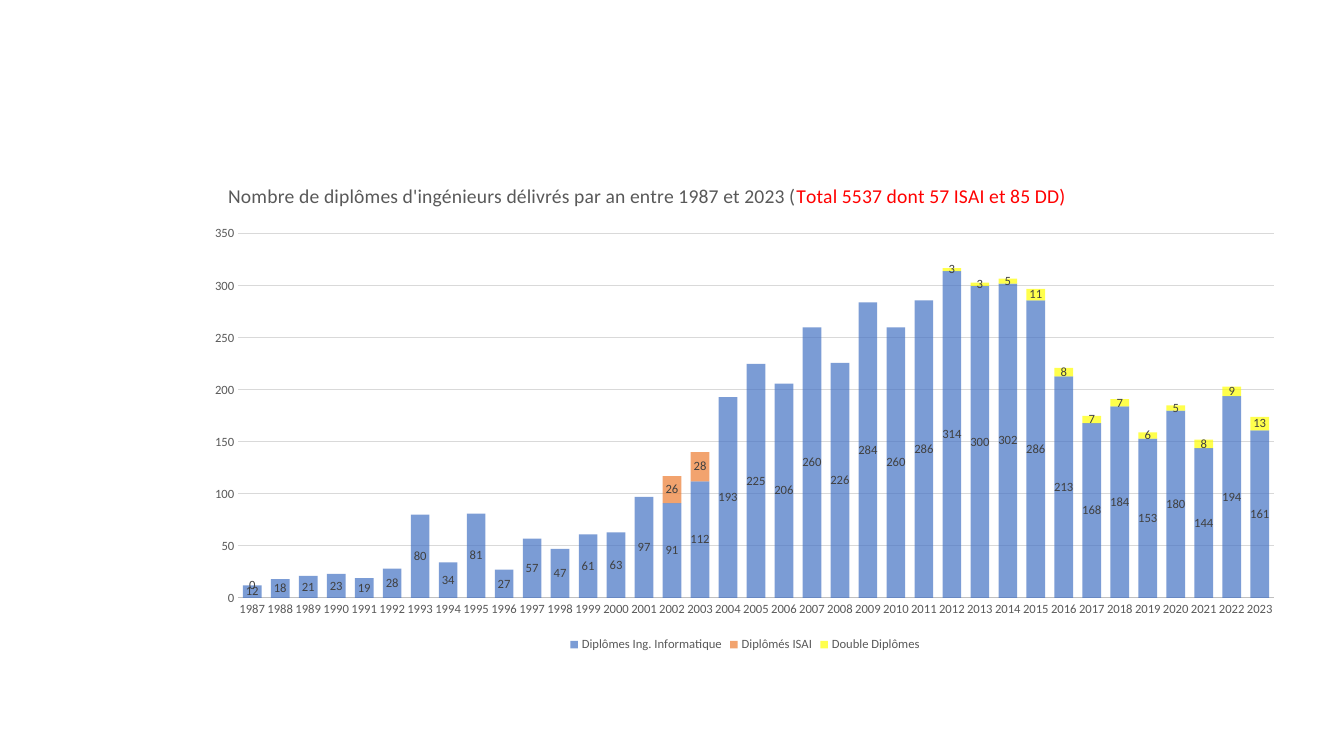
from lxml.etree import SubElement
from pptx import Presentation
from pptx.chart.data import CategoryChartData
from pptx.dml.color import RGBColor
from pptx.enum.chart import XL_CHART_TYPE as ChartType
from pptx.enum.chart import XL_LABEL_POSITION as LabelPos
from pptx.enum.chart import XL_LEGEND_POSITION as LegendPos
from pptx.enum.chart import XL_TICK_MARK as TickMark
from pptx.oxml import parse_xml
from pptx.oxml.ns import nsdecls, qn
from pptx.util import Pt

EMU_PER_PX = 914400 / 100.8
BLACK = RGBColor(0x00, 0x00, 0x00)
GREY = RGBColor(0x59, 0x59, 0x59)
DARK = RGBColor(0x40, 0x40, 0x40)
AXIS = RGBColor(0xBF, 0xBF, 0xBF)
GRID = RGBColor(0xD9, 0xD9, 0xD9)
RED = RGBColor(0xFF, 0x00, 0x00)
BLUE = RGBColor(0x44, 0x72, 0xC4)
ORANGE = RGBColor(0xED, 0x7D, 0x31)
YELLOW = RGBColor(0xFF, 0xFF, 0x00)
WHITE = RGBColor(0xFF, 0xFF, 0xFF)

YEARS = range(1987, 2024)
INFORMATIQUE = [
    12, 18, 21, 23, 19, 28, 80, 34, 81, 27, 57, 47, 61, 63, 97, 91, 112, 193, 225,
    206, 260, 226, 284, 260, 286, 314, 300, 302, 286, 213, 168, 184, 153, 180, 144,
    194, 161,
]
ISAI = {2002: 26, 2003: 28}
DOUBLE = {1987: 0, 1997: 0} | dict(
    zip(range(2012, 2024), [3, 3, 5, 11, 8, 7, 7, 6, 5, 8, 9, 13])
)
SERIES = [
    ("Diplômes Ing. Informatique", INFORMATIQUE, BLUE),
    ("Diplômés ISAI", [ISAI.get(y) for y in YEARS], ORANGE),
    ("Double Diplômes", [DOUBLE.get(y) for y in YEARS], YELLOW),
]
UNLABELLED_YEAR = 1997
TITLE = [
    ("Nombre de diplômes d'ingénieurs délivrés par an entre 1987 et 2023 (", GREY),
    ("Total 5537 dont 57 ISAI et 85 DD)", RED),
]


def px(n):
    return round(n * EMU_PER_PX)


def set_font(font, size, color):
    for name, value in {"name": "Calibri", "size": Pt(size), "bold": False}.items():
        setattr(font, name, value)
    font.color.rgb = color


def set_line(line, color):
    line.color.rgb = color
    line.width = Pt(0.75)


def place(part, values):
    layout = part.find(qn("c:layout"))
    if layout is None:
        layout = parse_xml(f"<c:layout {nsdecls('c')}/>")
        part.insert(0, layout)
    manual = SubElement(layout, qn("c:manualLayout"))
    for tag, value in values.items():
        SubElement(manual, qn(f"c:{tag}")).set("val", str(value))


def add_title(chart, w, h):
    p = chart.chart_title.text_frame.paragraphs[0]
    for text, color in TITLE:
        r = p.add_run()
        r.text = text
        set_font(r.font, 14, color)
    title = chart.chart_title._element
    place(title, {"xMode": "edge", "yMode": "edge",
                  "x": round(32 / w, 3), "y": round(11 / h, 3)})


def style_axes(chart):
    for axis in (chart.category_axis, chart.value_axis):
        axis.major_tick_mark = axis.minor_tick_mark = TickMark.NONE
        set_font(axis.tick_labels.font, 9, GREY)
    set_line(chart.category_axis.format.line, AXIS)
    value_axis = chart.value_axis
    for name, value in {"minimum_scale": 0, "maximum_scale": 350,
                        "major_unit": 50}.items():
        setattr(value_axis, name, value)
    value_axis.format.line.fill.background()
    set_line(value_axis.major_gridlines.format.line, GRID)


def style_series(plot):
    for ser, (_, _, color) in zip(plot.series, SERIES):
        fill = ser.format.fill
        fill.solid()
        fill.fore_color.rgb = color
        rgb = ser._element.find(".//" + qn("a:srgbClr"))
        SubElement(rgb, qn("a:alpha")).set("val", "70000")
        labels = ser.data_labels
        labels.show_value = True
        labels.position = LabelPos.CENTER
        set_font(labels.font, 9, DARK)
    hidden = YEARS.index(UNLABELLED_YEAR)
    labels._element.insert(0, parse_xml(
        f'<c:dLbl {nsdecls("c")}><c:idx val="{hidden}"/><c:delete val="1"/></c:dLbl>'))


def add_diploma_chart(s, x, y, w, h):
    data = CategoryChartData()
    data.categories = [str(year) for year in YEARS]
    for name, values, _ in SERIES:
        data.add_series(name, values)
    chart = s.shapes.add_chart(
        ChartType.COLUMN_STACKED, px(x), px(y), px(w), px(h), data).chart
    set_font(chart.font, 10, BLACK)
    add_title(chart, w, h)
    style_axes(chart)
    plot = chart.plots[0]
    for name, value in {"gap_width": 50, "overlap": 100,
                        "vary_by_categories": False}.items():
        setattr(plot, name, value)
    style_series(plot)
    chart.has_legend = True
    chart.legend.position = LegendPos.BOTTOM
    chart.legend.include_in_layout = False
    set_font(chart.legend.font, 9, GREY)
    plot_area = chart._chartSpace.find(".//" + qn("c:plotArea"))
    place(plot_area, {"layoutTarget": "inner", "xMode": "edge", "yMode": "edge",
                      "x": round(45 / w, 3), "y": round(66 / h, 3),
                      "w": round(1036 / w, 3), "h": round(364 / h, 3)})


def main():
    prs = Presentation()
    prs.slide_width, prs.slide_height = px(1344), px(756)
    s = prs.slides.add_slide(prs.slide_layouts[6])
    s.background.fill.solid()
    s.background.fill.fore_color.rgb = WHITE
    add_diploma_chart(s, 193, 168, 1104, 488)
    prs.save("out.pptx")


if __name__ == "__main__":
    main()
